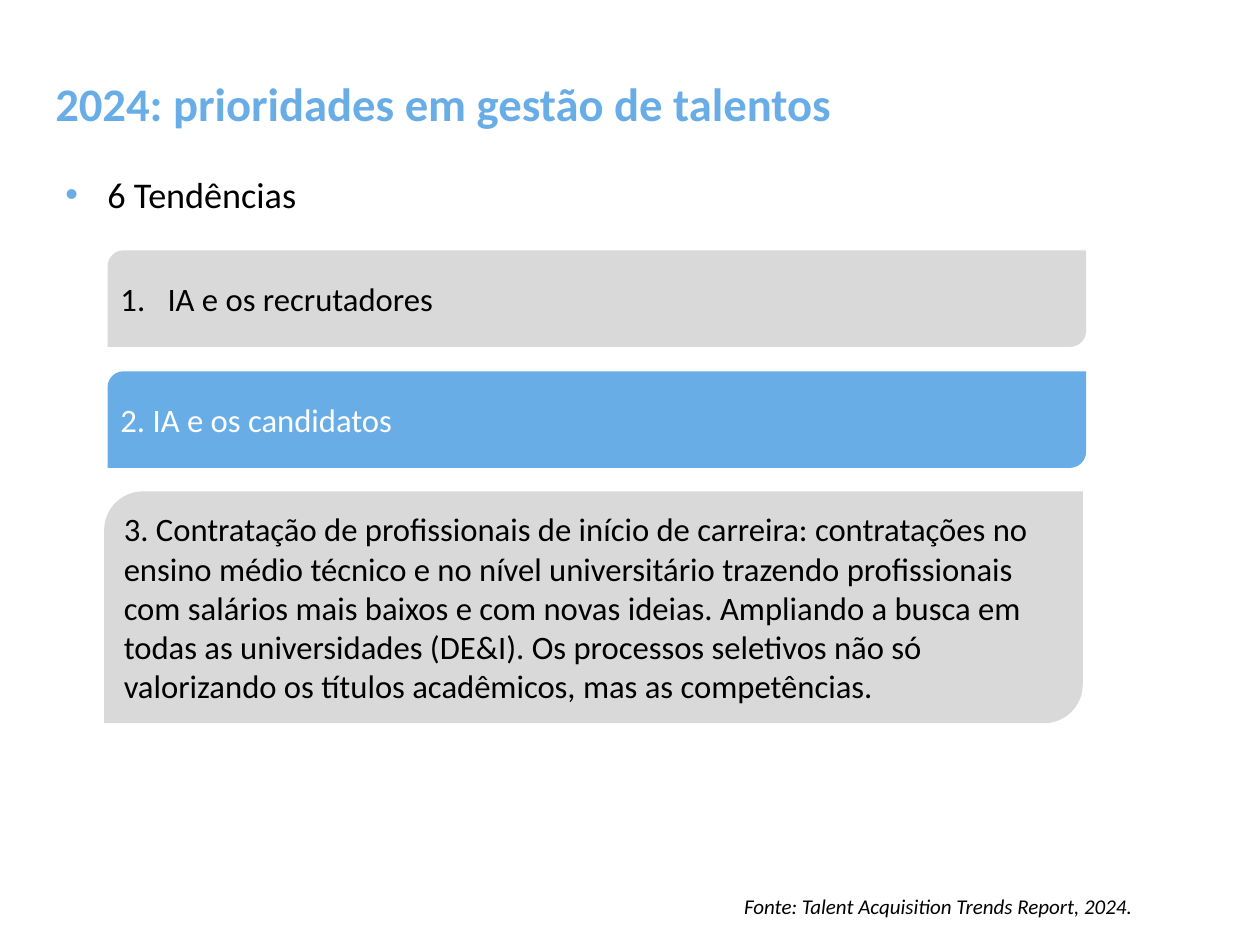
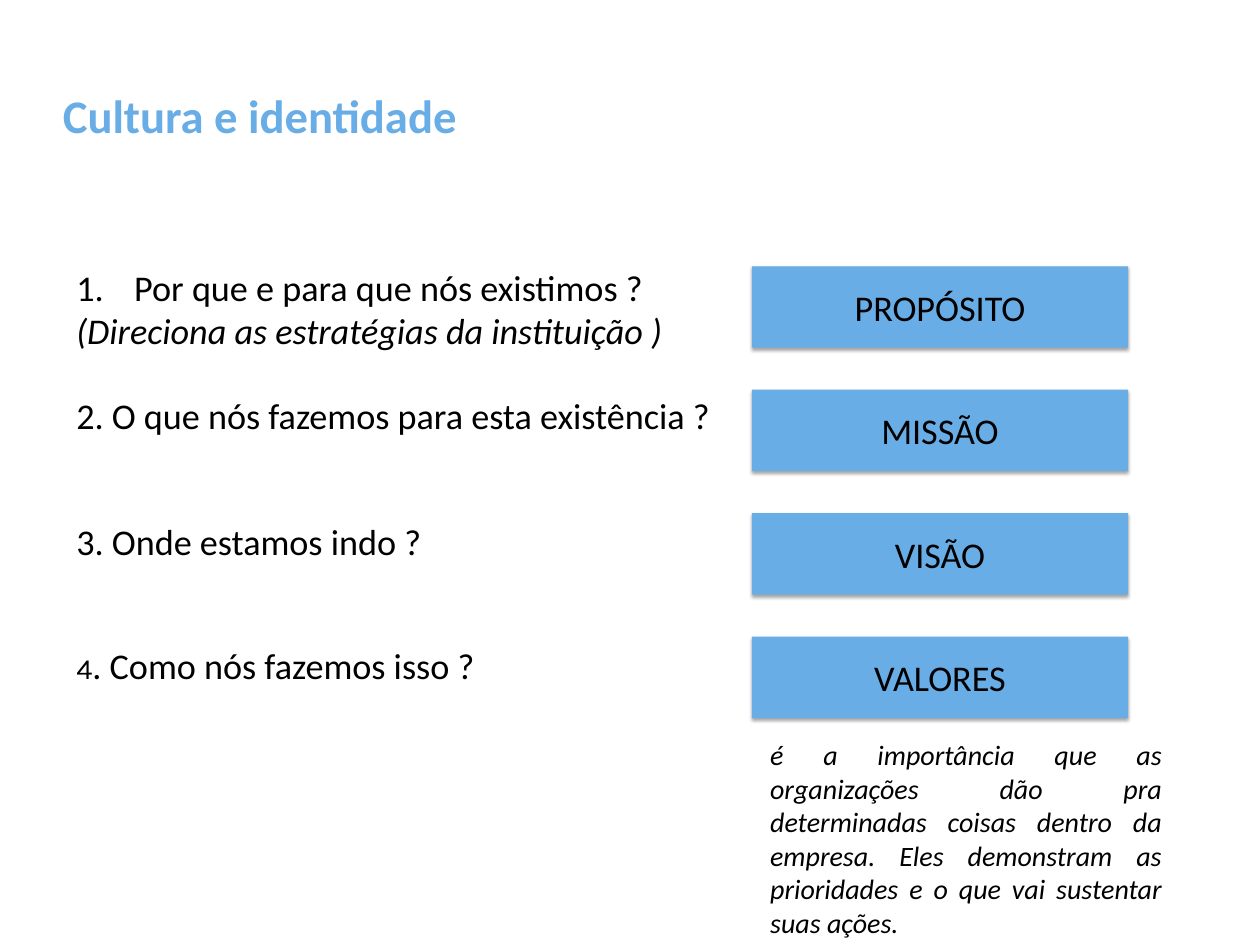
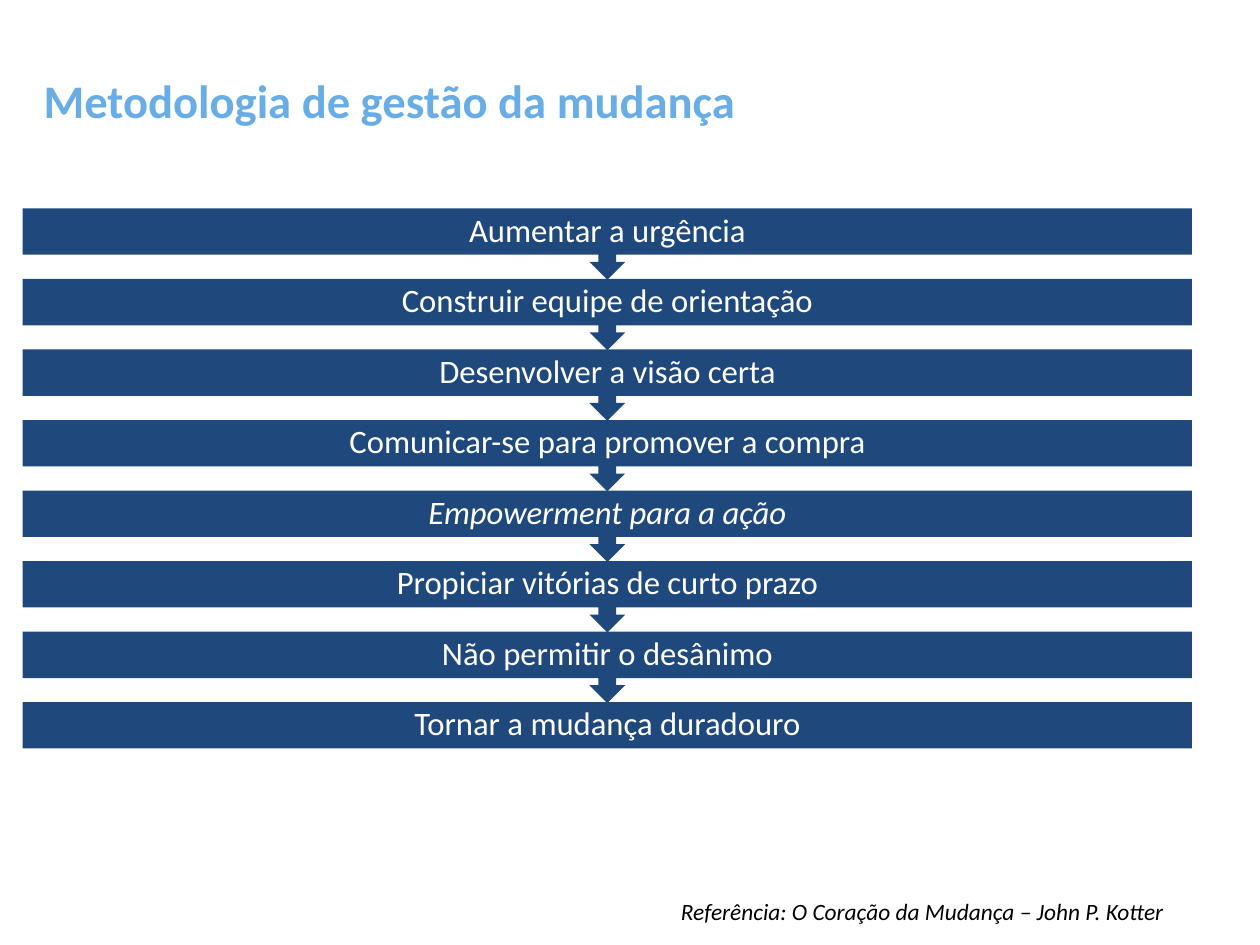
from lxml import etree
from pptx import Presentation
from pptx.dml.color import RGBColor
from pptx.enum.shapes import MSO_SHAPE
from pptx.enum.text import MSO_ANCHOR, PP_ALIGN
from pptx.oxml.ns import qn
from pptx.util import Inches, Pt

SKY = RGBColor(0x69, 0xAD, 0xE7)
NAVY = RGBColor(0x1F, 0x49, 0x7D)
GREY = RGBColor(0xD9, 0xD9, 0xD9)
BLACK = RGBColor(0, 0, 0)
WHITE = RGBColor(0xFF, 0xFF, 0xFF)

LEFT, CENTER, JUSTIFY = PP_ALIGN.LEFT, PP_ALIGN.CENTER, PP_ALIGN.JUSTIFY
TOP, MIDDLE = MSO_ANCHOR.TOP, MSO_ANCHOR.MIDDLE
RECT = MSO_SHAPE.RECTANGLE
CARD = MSO_SHAPE.ROUND_2_DIAG_RECTANGLE
CALLOUT = MSO_SHAPE.DOWN_ARROW_CALLOUT

BODY_FONT = "Calibri"
NUMBER_FONT = "Karla"
TITLE_SIZE, BODY_SIZE, CARD_SIZE = 40, 31, 28


class SlideWriter:
    def __init__(self):
        self.deck = Presentation()
        self.deck.slide_width = Inches(15)
        self.deck.slide_height = Inches(11.25)
        self.page = None

    def new_page(self):
        self.page = self.deck.slides.add_slide(self.deck.slide_layouts[6])

    def style(self, para, size, color, align=LEFT, bold=False, italic=False):
        para.alignment = align
        for span in para.runs:
            font = span.font
            font.name, font.size = BODY_FONT, Pt(size)
            font.bold, font.italic = bold, italic
            font.color.rgb = color

    def text(self, left, top, width, height, words, size=BODY_SIZE,
             color=BLACK, **look):
        """Add a text box and return its paragraphs, one per line of words."""
        box = self.page.shapes.add_textbox(
            Inches(left), Inches(top), Inches(width), Inches(height))
        frame = box.text_frame
        frame.word_wrap = True
        frame.vertical_anchor = TOP
        frame.text = words
        for para in frame.paragraphs:
            self.style(para, size, color, **look)
        return frame.paragraphs

    def title(self, left, top, words):
        self.text(left, top, 12.4, 0.8, words, TITLE_SIZE, SKY, bold=True)

    def source(self, left, top, width, words, size, align):
        self.text(left, top, width, 0.42, words, size, align=align, italic=True)

    def block(self, kind, left, top, width, height, words, fill,
              size=CARD_SIZE, color=BLACK, **look):
        """Add a filled shape and return it with its styled paragraph."""
        shape = self.page.shapes.add_shape(
            kind, Inches(left), Inches(top), Inches(width), Inches(height))
        shape.shadow.inherit = False
        shape.fill.solid()
        shape.fill.fore_color.rgb = fill
        shape.line.fill.background()
        frame = shape.text_frame
        frame.word_wrap = True
        frame.vertical_anchor = MIDDLE
        frame.text = words
        para = frame.paragraphs[0]
        self.style(para, size, color, **look)
        return shape, para

    def soft_shadow(self, shape):
        effects = shape.element.spPr.find(qn("a:effectLst"))
        shadow = etree.SubElement(
            effects, qn("a:outerShdw"), blurRad=str(Pt(3.1)), dist=str(Pt(1.8)),
            dir="5400000", rotWithShape="0")
        tint = etree.SubElement(shadow, qn("a:srgbClr"), val=str(BLACK))
        etree.SubElement(tint, qn("a:alpha"), val="35000")

    def hang(self, para, indent):
        properties = para._p.get_or_add_pPr()
        properties.set("marL", str(Inches(indent)))
        properties.set("indent", str(-Inches(indent)))
        return properties

    def bullet(self, para, indent, color):
        properties = self.hang(para, indent)
        tint = etree.SubElement(properties, qn("a:buClr"))
        etree.SubElement(tint, qn("a:srgbClr"), val=str(color))
        etree.SubElement(properties, qn("a:buFont"), typeface="Arial")
        etree.SubElement(properties, qn("a:buChar"), char="•")

    def number(self, para, indent):
        properties = self.hang(para, indent)
        etree.SubElement(properties, qn("a:buFont"), typeface="+mj-lt")
        etree.SubElement(properties, qn("a:buAutoNum"), type="arabicPeriod")


def trends_page(writer):
    writer.new_page()
    writer.title(0.56, 0.84, "2024: prioridades em gestão de talentos")
    heading = writer.text(0.68, 2, 13.18, 0.63, "6 Tendências")[0]
    writer.bullet(heading, 0.5, SKY)

    width, height = 11.65, 1.15
    first = writer.block(CARD, 1.28, 2.98, width, height,
                         "IA e os recrutadores", GREY)[1]
    writer.number(first, 0.56)
    writer.block(CARD, 1.28, 4.42, width, height,
                 "2. IA e os candidatos", SKY, color=WHITE)
    writer.block(
        CARD, 1.24, 5.85, width, 2.76,
        "3. Contratação de profissionais de início de carreira: contratações "
        "no ensino médio técnico e no nível universitário trazendo "
        "profissionais com salários mais baixos e com novas ideias. Ampliando "
        "a busca em todas as universidades (DE&I). Os processos seletivos não "
        "só valorizando os títulos acadêmicos, mas as competências.", GREY)
    writer.source(8.76, 10.59, 5.5,
                  "Fonte: Talent Acquisition Trends Report, 2024.", 18, JUSTIFY)


def culture_page(writer):
    writer.new_page()
    writer.title(0.65, 0.98, "Cultura e identidade")
    left, width = 0.81, 8

    purpose, effect = writer.text(
        left, 3.11, width, 1.15,
        "Por que e para que nós existimos ?\n"
        "(Direciona as estratégias da instituição )")
    writer.number(purpose, 0.69)
    effect.runs[0].font.italic = True

    writer.text(left, 4.63, width, 0.63,
                "2. O que nós fazemos para esta existência ?")
    writer.text(left, 6.13, width, 0.63, "3. Onde estamos indo ?")

    values = writer.text(left, 7.61, width, 0.63, "4")[0]
    question = values.add_run()
    question.text = ". Como nós fazemos isso ?"
    writer.style(values, BODY_SIZE, BLACK)
    values.runs[0].font.name = NUMBER_FONT
    values.runs[0].font.size = Pt(24.8)

    for row, name in enumerate(["PROPÓSITO", "MISSÃO", "VISÃO", "VALORES"]):
        shape, _ = writer.block(RECT, 8.95, 3.17 + 1.47 * row, 4.48, 0.97,
                                name, SKY, BODY_SIZE, align=CENTER)
        writer.soft_shadow(shape)

    writer.text(
        9.07, 8.73, 4.86, 2.52,
        "é a importância que as organizações dão pra determinadas coisas "
        "dentro da empresa. Eles demonstram as prioridades e o que vai "
        "sustentar suas ações.", 24, align=JUSTIFY, italic=True)


def change_page(writer):
    writer.new_page()
    writer.title(0.42, 0.81, "Metodologia de gestão da mudança")
    steps = [
        "Aumentar a urgência",
        "Construir equipe de orientação",
        "Desenvolver a visão certa",
        "Comunicar-se para promover a compra",
        "Empowerment para a ação",
        "Propiciar vitórias de curto prazo",
        "Não permitir o desânimo",
        "Tornar a mudança duradouro",
    ]
    for row, step in enumerate(steps):
        is_last = row == len(steps) - 1
        kind, height = (RECT, 0.55) if is_last else (CALLOUT, 0.85)
        shape, para = writer.block(
            kind, 0.27, 2.48 + 0.84 * row, 13.92, height, step, NAVY,
            color=WHITE, align=CENTER, italic=step.startswith("Empowerment"))
        shape.text_frame.margin_top = shape.text_frame.margin_bottom = 0
        para.line_spacing = 0.9
    writer.source(7.23, 10.63, 7.5,
                  "Referência: O Coração da Mudança – John P. Kotter", 20, CENTER)


def main():
    writer = SlideWriter()
    trends_page(writer)
    culture_page(writer)
    change_page(writer)
    writer.deck.save("out.pptx")


if __name__ == "__main__":
    main()
